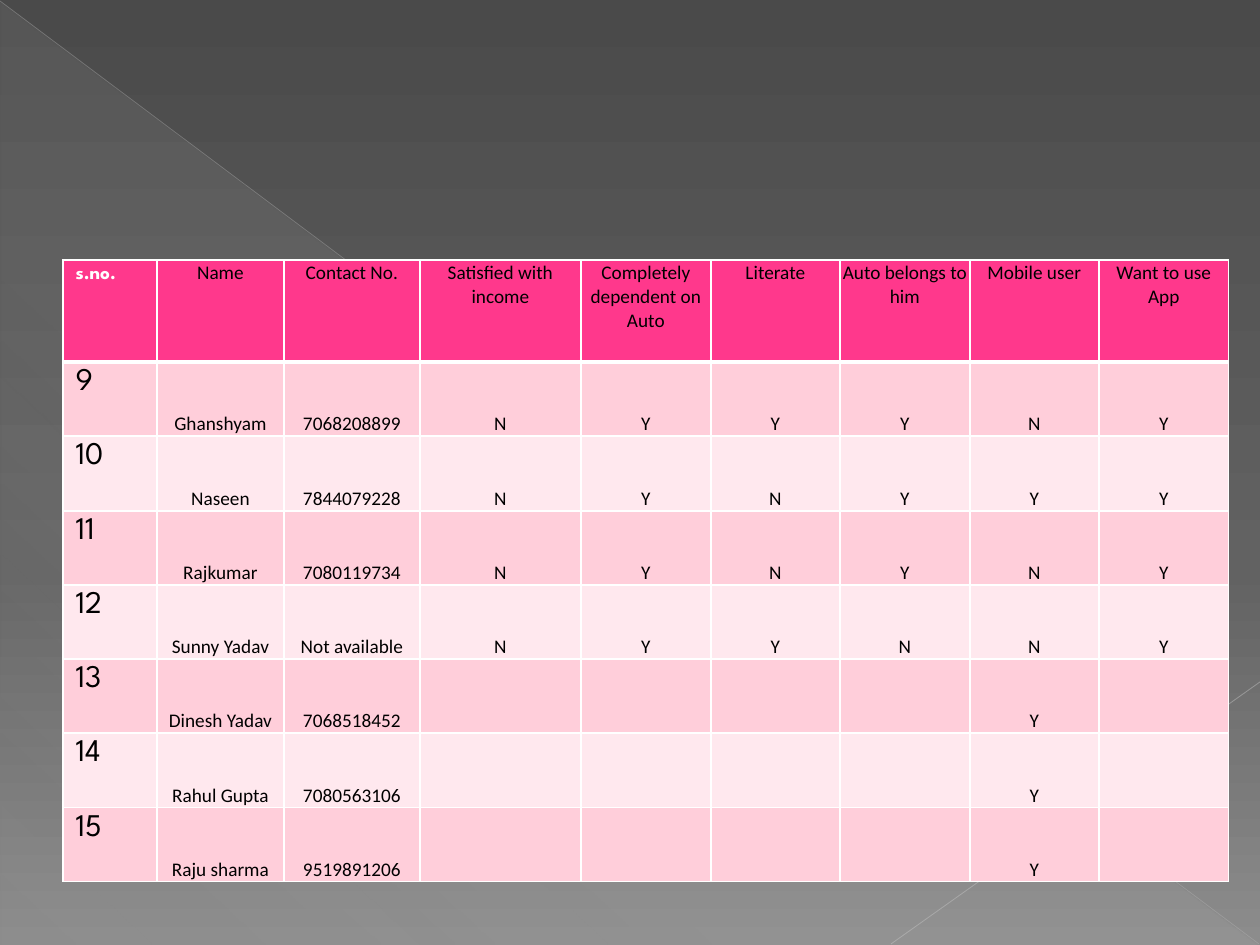
"""Build a slide with a survey table of auto drivers."""
from dataclasses import dataclass
from itertools import pairwise

from lxml.etree import SubElement as Sub
from pptx import Presentation
from pptx.dml.color import RGBColor as RGB
from pptx.enum.shapes import MSO_CONNECTOR as Conn, MSO_SHAPE as Form
from pptx.enum.text import MSO_ANCHOR as Anchor, PP_ALIGN as Align
from pptx.oxml.ns import qn
from pptx.util import Emu, Pt

SCALE = 914400 // 126
WHITE = RGB(255, 255, 255)
BLACK = RGB(0, 0, 0)
PINK = RGB(0xFF, 0x38, 0x8C)
ROSE = RGB(0xFF, 0xCE, 0xDA)
BLUSH = RGB(0xFF, 0xE8, 0xEE)
DARK = RGB(0x4A, 0x4A, 0x4A)
GREY = RGB(0x62, 0x62, 0x62)
PALE = RGB(0x8C, 0x8C, 0x8C)
MIST = RGB(0xD2, 0xD2, 0xD2)
SILVER = RGB(0xBF, 0xBF, 0xBF)
ASH = RGB(0xC6, 0xC6, 0xC6)

LEFT, TOP, HEAD, LAST = 63, 260, 362, 882
EDGES = (LEFT, 157, 284, 420, 581, 711, 840, 970, 1099, 1229)
ROWS = (
    ("s.no.", "Name", "Contact No.", "Satisfied with income", "Completely dependent on Auto",
     "Literate", "Auto belongs to him", "Mobile user", "Want to use App"),
    ("9", "Ghanshyam", "7068208899", *"NYYYNY"),
    ("10", "Naseen", "7844079228", *"NYNYYY"),
    ("11", "Rajkumar", "7080119734", *"NYNYNY"),
    ("12", "Sunny Yadav", "Not available", *"NYYNNY"),
    ("13", "Dinesh Yadav", "7068518452", "", "", "", "", "Y", ""),
    ("14", "Rahul Gupta", "7080563106", "", "", "", "", "Y", ""),
    ("15", "Raju sharma", "9519891206", "", "", "", "", "Y", ""),
)


@dataclass
class Stop:
    """A gradient stop, with position and opacity in percent."""
    pos: int
    color: RGB
    alpha: int = 100


@dataclass
class Ray:
    """A thin line between two points, with opacity in percent."""
    start: tuple[int, int]
    end: tuple[int, int]
    color: RGB
    width: float
    alpha: int


RAYS = (
    Ray((0, 1), (1259, 944), SILVER, 0.39, 35),
    Ray((1260, 682), (891, 944), ASH, 0.47, 45),
)


def px(size: int) -> Emu:
    """Turn pixels into EMU."""
    return Emu(round(size * SCALE))


def fade(node, alpha: int) -> None:
    """Set the opacity of a colour node."""
    Sub(node, qn("a:alpha"), val=str(alpha * 1000))


def blend(root, stops: tuple[Stop, ...], angle: int) -> None:
    """Replace the stops and the angle of the gradient under root."""
    grad = root.find(".//" + qn("a:gradFill"))
    for child in list(grad):
        grad.remove(child)
    group = Sub(grad, qn("a:gsLst"))
    for stop in stops:
        item = Sub(group, qn("a:gs"), pos=str(stop.pos * 1000))
        fade(Sub(item, qn("a:srgbClr"), val=str(stop.color)), stop.alpha)
    Sub(grad, qn("a:lin"), ang=str(angle * 60000), scaled="0")


def draw_ray(slide, ray: Ray) -> None:
    """Draw one thin line."""
    line = slide.shapes.add_connector(Conn.STRAIGHT, *map(px, ray.start + ray.end))
    line.line.color.rgb = ray.color
    line.line.width = Pt(ray.width)
    fade(line.element.find(".//" + qn("a:srgbClr")), ray.alpha)
    Sub(line.element.spPr, qn("a:effectLst"))


def frame(cell, row: int) -> None:
    """Draw the white borders of a cell, thick below the header."""
    props = cell._tc.get_or_add_tcPr()
    for side in "LRTB":
        thick = (row, side) in ((0, "B"), (1, "T"))
        edge = Sub(props, qn(f"a:ln{side}"), w=str(Pt(3 if thick else 1)))
        Sub(Sub(edge, qn("a:solidFill")), qn("a:srgbClr"), val=str(WHITE))


def fill_cell(cell, text: str, row: int, col: int) -> None:
    """Format one cell and write its text."""
    frame(cell, row)
    cell.fill.solid()
    cell.fill.fore_color.rgb = PINK if row == 0 else ROSE if row % 2 else BLUSH
    if not text:
        return
    para = cell.text_frame.paragraphs[0]
    run = para.add_run()
    run.text = text
    corner = row == col == 0
    look = {
        "name": "Calibri" if col else "League Spartan",
        "size": Pt(11 if col or corner else 18),
        "bold": corner,
    }
    for key, value in look.items():
        setattr(run.font, key, value)
    run.font.color.rgb = WHITE if corner else BLACK
    if col:
        para.alignment = Align.CENTER
        place = {
            "margin_left": px(1), "margin_right": px(1), "margin_top": px(1),
            "margin_bottom": 0,
            "vertical_anchor": Anchor.BOTTOM if row else Anchor.TOP,
        }
        for key, value in place.items():
            setattr(cell, key, value)


def draw_back(slide) -> None:
    """Draw the background, the triangle and the rays."""
    slide.background.fill.gradient()
    blend(slide.element, (Stop(0, DARK), Stop(60, GREY), Stop(100, PALE)), 90)
    wedge = slide.shapes.add_shape(Form.RIGHT_TRIANGLE, *map(px, (1, 2, 1257, 942)))
    wedge.shadow.inherit = False
    wedge.line.fill.background()
    wedge.fill.gradient()
    blend(wedge.element, (Stop(0, MIST, 10), Stop(70, MIST, 8), Stop(100, MIST, 1)), 133)
    for ray in RAYS:
        draw_ray(slide, ray)


def draw_table(slide) -> None:
    """Draw the survey table."""
    count = len(ROWS) - 1
    levels = [TOP] + [HEAD + round((LAST - HEAD) * i / count) for i in range(count + 1)]
    box = map(px, (LEFT, TOP, EDGES[-1] - LEFT, LAST - TOP))
    table = slide.shapes.add_table(len(ROWS), len(ROWS[0]), *box).table
    for col, (near, far) in zip(table.columns, pairwise(EDGES)):
        col.width = px(far - near)
    for row, (high, low) in zip(table.rows, pairwise(levels)):
        row.height = px(low - high)
    for i, texts in enumerate(ROWS):
        for j, text in enumerate(texts):
            fill_cell(table.cell(i, j), text, i, j)


def main() -> None:
    """Build and save the slide."""
    deck = Presentation()
    deck.slide_width, deck.slide_height = px(1260), px(945)
    slide = deck.slides.add_slide(deck.slide_layouts[6])
    draw_back(slide)
    draw_table(slide)
    deck.save("out.pptx")


main()
